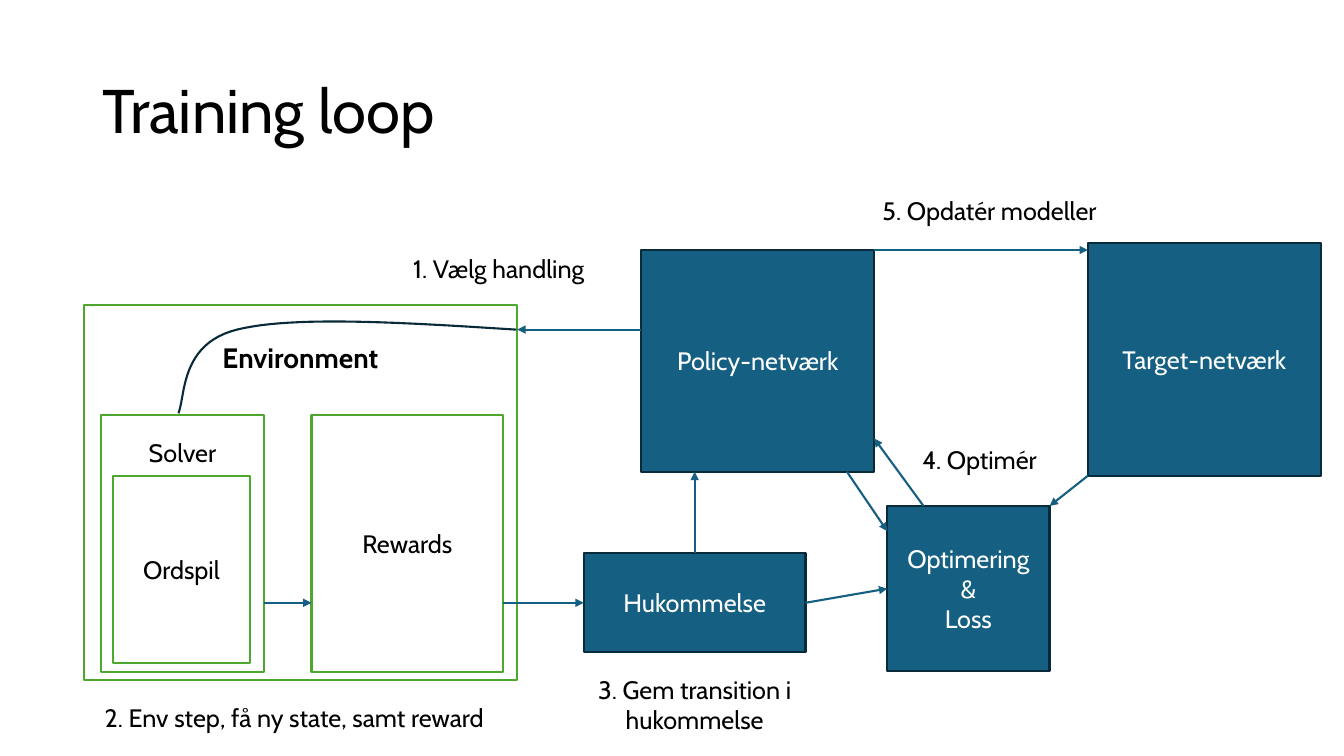
from lxml import etree
from pptx import Presentation
from pptx.dml.color import RGBColor
from pptx.enum.shapes import MSO_CONNECTOR, MSO_SHAPE
from pptx.enum.text import MSO_ANCHOR, PP_ALIGN
from pptx.oxml.ns import qn
from pptx.util import Inches, Pt

RECTANGLE = MSO_SHAPE.RECTANGLE
STRAIGHT = MSO_CONNECTOR.STRAIGHT
TOP, MIDDLE = MSO_ANCHOR.TOP, MSO_ANCHOR.MIDDLE
LEFT, CENTER = PP_ALIGN.LEFT, PP_ALIGN.CENTER

COLORS = {
    "blue": "156082",
    "navy": "092A39",
    "green": "4EA72E",
    "black": "000000",
    "white": "FFFFFF",
}


def bezier(start, first, second, end, steps=24):
    points = []
    for step in range(1, steps + 1):
        t = step / steps
        weights = ((1 - t) ** 3, 3 * t * (1 - t) ** 2, 3 * t * t * (1 - t), t ** 3)
        corners = (start, first, second, end)
        points.append(tuple(
            Inches(sum(w * corner[axis] for w, corner in zip(weights, corners)))
            for axis in (0, 1)
        ))
    return points


class Diagram:
    font = "Cabin"
    size = 18
    line_width = 1.5

    def __init__(self, page):
        self.page = page

    def color(self, name):
        return RGBColor.from_string(COLORS[name])

    def outline(self, line, color):
        line.color.rgb = self.color(color)
        line.width = Pt(self.line_width)

    def add_lines(self, frame, lines, color, align, size=None, bold=False):
        for index, text in enumerate(lines):
            para = frame.paragraphs[0] if index == 0 else frame.add_paragraph()
            para.alignment = align
            span = para.add_run()
            span.text = text
            span.font.name = self.font
            span.font.size = Pt(size or self.size)
            span.font.bold = bold
            span.font.color.rgb = self.color(color)

    def box(self, place, lines, fill, line, color, drop=None, size=None, bold=False):
        box = self.page.shapes.add_shape(RECTANGLE, *map(Inches, place))
        box.shadow.inherit = False
        if fill:
            box.fill.solid()
            box.fill.fore_color.rgb = self.color(fill)
        else:
            box.fill.background()
        self.outline(box.line, line)
        frame = box.text_frame
        frame.word_wrap = True
        frame.vertical_anchor = MIDDLE if drop is None else TOP
        if drop is not None:
            frame.margin_top = Inches(drop)
        self.add_lines(frame, lines, color, CENTER, size, bold)

    def network(self, place, *lines):
        self.box(place, lines, "blue", "navy", "white")

    def frame(self, place, text, fill=None, **style):
        self.box(place, [text], fill, "green", "black", **style)

    def arrow(self, start, end):
        arrow = self.page.shapes.add_connector(
            STRAIGHT, *map(Inches, start), *map(Inches, end))
        self.outline(arrow.line, "blue")
        properties = arrow._element.spPr
        etree.SubElement(properties.find(qn("a:ln")), qn("a:tailEnd"), type="triangle")
        etree.SubElement(properties, qn("a:effectLst"))

    def curve(self, start, *segments):
        builder = self.page.shapes.build_freeform(*map(Inches, start))
        for first, second, end in segments:
            builder.add_line_segments(bezier(start, first, second, end), close=False)
            start = end
        curve = builder.convert_to_shape()
        curve.shadow.inherit = False
        curve.fill.background()
        self.outline(curve.line, "navy")

    def label(self, place, text, align=LEFT, wrap=False):
        label = self.page.shapes.add_textbox(*map(Inches, place))
        label.text_frame.word_wrap = wrap
        self.add_lines(label.text_frame, [text], "black", align)

    def title(self, place, text):
        title = self.page.shapes.add_textbox(*map(Inches, place))
        frame = title.text_frame
        frame.word_wrap = True
        frame.vertical_anchor = MIDDLE
        self.add_lines(frame, [text], "black", LEFT, size=44)
        frame.paragraphs[0].line_spacing = 0.9


def main():
    deck = Presentation()
    deck.slide_width, deck.slide_height = Inches(13.33), Inches(7.5)
    diagram = Diagram(deck.slides.add_slide(deck.slide_layouts[6]))

    diagram.title((0.92, 0.4, 11.5, 1.45), "Training loop")

    diagram.frame((1.12, 4.72, 1.36, 1.86), "Ordspil", fill="white")
    diagram.frame((1, 4.12, 1.62, 2.55), "Solver", drop=0.22)
    diagram.frame((0.83, 3.03, 4.3, 3.72), "Environment", drop=0.35, size=20, bold=True)
    diagram.frame((3.09, 4.12, 1.9, 2.55), "Rewards", fill="white")

    diagram.network((10.79, 2.41, 2.31, 2.31), "Target-netværk")
    diagram.network((5.79, 5.49, 2.2, 0.98), "Hukommelse")
    diagram.network((6.36, 2.48, 2.31, 2.2), "Policy-netværk")
    diagram.network((8.8, 5.02, 1.61, 1.64), "Optimering", "&", "Loss")

    for start, end in (
        ((2.62, 5.98), (3.09, 5.98)),
        ((4.99, 5.98), (5.79, 5.98)),
        ((6.89, 5.49), (6.89, 4.68)),
        ((6.36, 3.27), (5.13, 3.27)),
        ((8.67, 2.48), (10.79, 2.48)),
        ((7.99, 5.98), (8.8, 5.84)),
        ((8.4, 4.68), (8.8, 5.27)),
        ((9.16, 5.02), (8.67, 4.35)),
        ((10.79, 4.72), (10.41, 5.02)),
    ):
        diagram.arrow(start, end)

    diagram.curve(
        (5.12, 3.27),
        ((4.01, 3.2), (2.91, 3.13), (2.35, 3.27)),
        ((1.79, 3.41), (1.84, 3.92), (1.77, 4.1)),
    )

    diagram.label((4, 2.46, 1.99, 0.4), "1. Vælg handling")
    diagram.label((0.94, 6.92, 4.08, 0.4), "2. Env step, få ny state, samt reward")
    diagram.label((5.71, 6.64, 2.36, 0.71), "3. Gem transition i hukommelse", CENTER, True)
    diagram.label((9.05, 4.36, 1.36, 0.4), "4. Optimér")
    diagram.label((8.6, 1.89, 2.43, 0.4), "5. Opdatér modeller", CENTER, True)

    deck.save("out.pptx")


if __name__ == "__main__":
    main()
